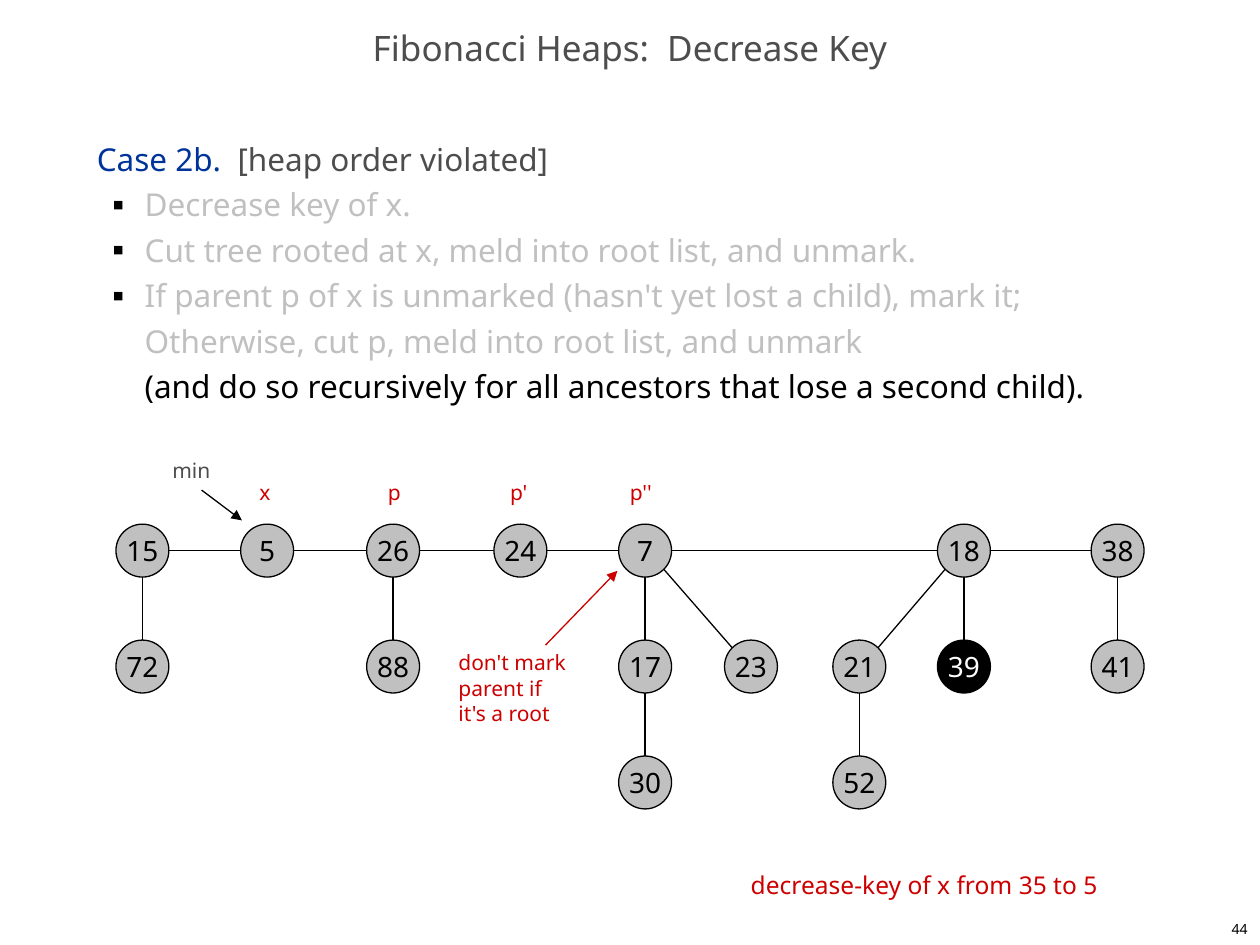
from math import sqrt

from lxml.etree import SubElement
from pptx import Presentation
from pptx.dml.color import RGBColor
from pptx.enum.shapes import MSO_CONNECTOR, MSO_SHAPE
from pptx.enum.text import MSO_ANCHOR, MSO_AUTO_SIZE, PP_ALIGN
from pptx.oxml.ns import qn
from pptx.util import Inches, Pt

FONT = "Noto Sans"
BLACK, WHITE, RED, BLUE = "000000", "FFFFFF", "CC0000", "003399"
DARK, GREY = "4D4D4D", "C0C0C0"

TITLE = "Fibonacci Heaps:  Decrease Key"
PAGE_NUMBER = "44"
CASE = [("Case 2b.  ", BLUE), ("[heap order violated]", DARK)]
STEPS = [
    [("Decrease key of x.", GREY)],
    [("Cut tree rooted at x, meld into root list, and unmark.", GREY)],
    [("If parent p of x is unmarked (hasn't yet lost a child), mark it;\n"
      "Otherwise, cut p, meld into root list, and unmark\n", GREY),
     ("(and do so recursively for all ancestors that lose a second child).", BLACK)],
]

# key: (centre x, depth in its tree)
NODES = {
    15: (1.13, 0), 72: (1.13, 1),
    5: (2.12, 0),
    26: (3.12, 0), 88: (3.12, 1),
    24: (4.13, 0),
    7: (5.12, 0), 17: (5.12, 1), 30: (5.12, 2), 23: (5.96, 1),
    18: (7.65, 0), 39: (7.65, 1), 21: (6.82, 1), 52: (6.82, 2),
    38: (8.87, 0), 41: (8.87, 1),
}
MARKED = {39}
ROOT_LINKS = [(15, 5), (5, 26), (26, 7), (7, 18), (18, 38)]
CHILD_LINKS = [(15, 72), (26, 88), (7, 17), (17, 30), (7, 23),
               (18, 39), (18, 21), (21, 52), (38, 41)]
RADIUS, ROOT_Y, LEVEL_GAP = 0.21, 4.37, 0.92

# text, (left, top, width, height), size, colour
LABELS = [
    ("decrease-key of x from 35 to 5", (5.86, 6.86, 3.72, 0.34), 14, RED),
    ("x", (1.96, 3.76, 0.3, 0.3), 12, RED),
    ("p", (2.98, 3.76, 0.3, 0.3), 12, RED),
    ("p'", (3.95, 3.76, 0.4, 0.3), 12, RED),
    ("p''", (4.9, 3.76, 0.5, 0.3), 12, RED),
    ("min", (1.27, 3.58, 0.5, 0.3), 12, DARK),
    ("don't mark\nparent if\nit's a root", (3.54, 5.11, 1.06, 0.7), 12, RED),
]
ARROWS = [((1.6, 3.89), (1.92, 4.13), BLACK), ((4.33, 5.12), (4.9, 4.53), RED)]

prs = Presentation()
prs.slide_width, prs.slide_height = Inches(10), Inches(7.5)
slide = prs.slides.add_slide(prs.slide_layouts[6])
shapes = slide.shapes


def rgb(value):
    return RGBColor.from_string(value)


def style(paragraph, size, color=None):
    paragraph.font.name, paragraph.font.size = FONT, Pt(size)
    if color:
        paragraph.font.color.rgb = rgb(color)


def add_text(text, box, size, color, align=PP_ALIGN.LEFT):
    shape = shapes.add_textbox(*map(Inches, box))
    paragraph = shape.text_frame.paragraphs[0]
    paragraph.text, paragraph.alignment = text, align
    style(paragraph, size, color)
    return shape.text_frame


def add_line(start, end, color=BLACK, arrow=False):
    line = shapes.add_connector(MSO_CONNECTOR.STRAIGHT, *map(Inches, (*start, *end)))
    line.line.color.rgb, line.line.width = rgb(color), Pt(0.75)
    if arrow:
        SubElement(line.line._get_or_add_ln(), qn("a:tailEnd"), type="triangle")
    SubElement(line._element.spPr, qn("a:effectLst"))


def center(key):
    x, depth = NODES[key]
    return x, ROOT_Y + depth * LEVEL_GAP


def link(key, other):
    """Join two nodes at the nearest of the eight compass points of each circle."""
    (x1, y1), (x2, y2) = center(key), center(other)
    step_x, step_y = (x2 > x1) - (x2 < x1), (y2 > y1) - (y2 < y1)
    reach = RADIUS / sqrt(abs(step_x) + abs(step_y))
    dx, dy = step_x * reach, step_y * reach
    add_line((x1 + dx, y1 + dy), (x2 - dx, y2 - dy))


def add_node(key):
    x, y = center(key)
    node = shapes.add_shape(MSO_SHAPE.OVAL, Inches(x - RADIUS), Inches(y - RADIUS),
                            Inches(2 * RADIUS), Inches(2 * RADIUS))
    node.shadow.inherit = False
    node.fill.solid()
    node.fill.fore_color.rgb = rgb(BLACK if key in MARKED else GREY)
    node.line.color.rgb, node.line.width = rgb(BLACK), Pt(0.75)
    frame = node.text_frame
    frame.word_wrap, frame.vertical_anchor = False, MSO_ANCHOR.MIDDLE
    paragraph = frame.paragraphs[0]
    paragraph.text, paragraph.alignment = str(key), PP_ALIGN.CENTER
    style(paragraph, 16, WHITE if key in MARKED else BLACK)


def fill_paragraph(paragraph, parts):
    paragraph.line_spacing = Pt(26)
    style(paragraph, 18)
    for text, color in parts:
        for number, piece in enumerate(text.split("\n")):
            if number:
                paragraph.add_line_break()
            if piece:
                run = paragraph.add_run()
                run.text, run.font.color.rgb = piece, rgb(color)


def add_bullet(paragraph):
    props = paragraph._p.get_or_add_pPr()
    props.set("marL", str(Inches(0.38)))
    props.set("indent", str(Inches(-0.25)))
    bullet = [SubElement(props, qn(tag)) for tag in ("a:buClr", "a:buSzPct", "a:buFont", "a:buChar")]
    SubElement(bullet[0], qn("a:srgbClr"), val=BLACK)
    bullet[1].set("val", "35000")
    bullet[2].set("typeface", FONT)
    bullet[3].set("char", "■")
    # the schema puts default run properties after the bullet
    props.append(props.find(qn("a:defRPr")))


title = add_text(TITLE, (0, 0.17, 10, 0.5), 20, DARK, PP_ALIGN.CENTER)
title.word_wrap, title.vertical_anchor = True, MSO_ANCHOR.MIDDLE
title.paragraphs[0].line_spacing = 0.7

page = add_text(PAGE_NUMBER, (7.92, 7.25, 2.08, 0.25), 8, BLACK, PP_ALIGN.RIGHT)
page.word_wrap, page.vertical_anchor = True, MSO_ANCHOR.MIDDLE

body = shapes.add_textbox(*map(Inches, (0.67, 1, 8.83, 5.92))).text_frame
body.word_wrap = True
fill_paragraph(body.paragraphs[0], CASE)
for step in STEPS:
    item = body.add_paragraph()
    item.level = 1
    fill_paragraph(item, step)
    add_bullet(item)

for pair in ROOT_LINKS + CHILD_LINKS:
    link(*pair)
for key in NODES:
    add_node(key)
for label in LABELS:
    frame = add_text(*label)
    frame.word_wrap, frame.auto_size = False, MSO_AUTO_SIZE.SHAPE_TO_FIT_TEXT
for start, end, color in ARROWS:
    add_line(start, end, color, arrow=True)

prs.save("out.pptx")
